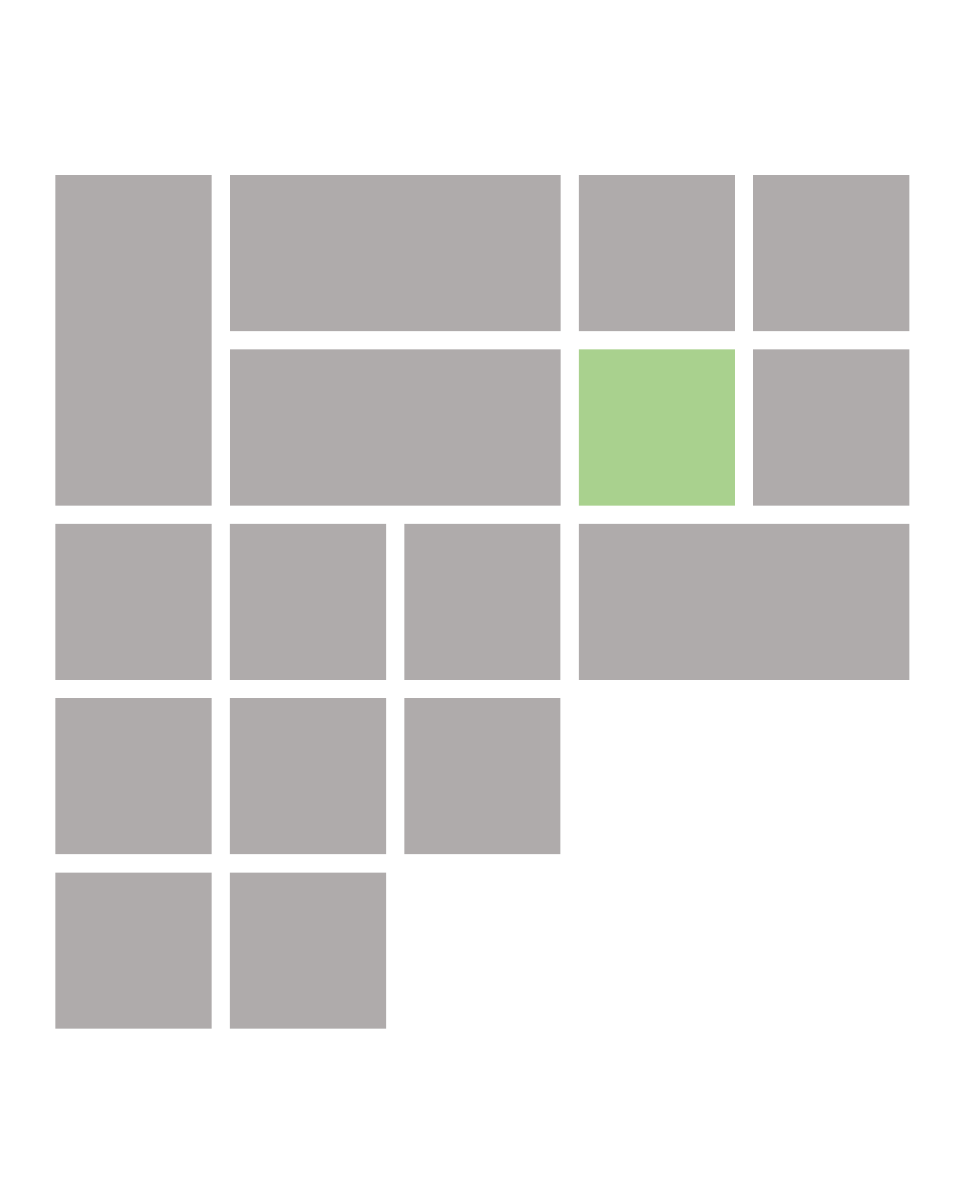
from pptx import Presentation
from pptx.dml.color import RGBColor
from pptx.enum.shapes import MSO_SHAPE
from pptx.util import Inches

GREY = RGBColor(0xAF, 0xAB, 0xAB)
GREEN = RGBColor(0xA9, 0xD1, 0x8E)
LEFT, TOP = 0.32, 1.01
SIDE = 0.9
PITCH = 4.02 / 4

# column, row, columns spanned, rows spanned
TILES = [
    (1, 0, 2, 1), (3, 0, 1, 1), (4, 0, 1, 1),
    (0, 0, 1, 2), (1, 1, 2, 1), (3, 1, 1, 1), (4, 1, 1, 1),
    (0, 2, 1, 1), (1, 2, 1, 1), (2, 2, 1, 1), (3, 2, 2, 1),
    (0, 3, 1, 1), (1, 3, 1, 1), (2, 3, 1, 1),
    (0, 4, 1, 1), (1, 4, 1, 1),
]
HIGHLIGHT = (3, 1)


def add_tile(s, col, row, cols, rows, color):
    """Add a borderless tile that spans cells of the grid."""
    sp = s.shapes.add_shape(
        MSO_SHAPE.RECTANGLE,
        Inches(LEFT + col * PITCH), Inches(TOP + row * PITCH),
        Inches(SIDE + (cols - 1) * PITCH), Inches(SIDE + (rows - 1) * PITCH))
    sp.shadow.inherit = False
    sp.fill.solid()
    sp.fill.fore_color.rgb = color
    sp.line.fill.background()


def main():
    """Build the slide with its grid of tiles."""
    prs = Presentation()
    prs.slide_width, prs.slide_height = Inches(5.56), Inches(6.94)
    s = prs.slides.add_slide(prs.slide_layouts[6])
    for col, row, cols, rows in TILES:
        color = GREEN if (col, row) == HIGHLIGHT else GREY
        add_tile(s, col, row, cols, rows, color)
    prs.save("out.pptx")


if __name__ == "__main__":
    main()
